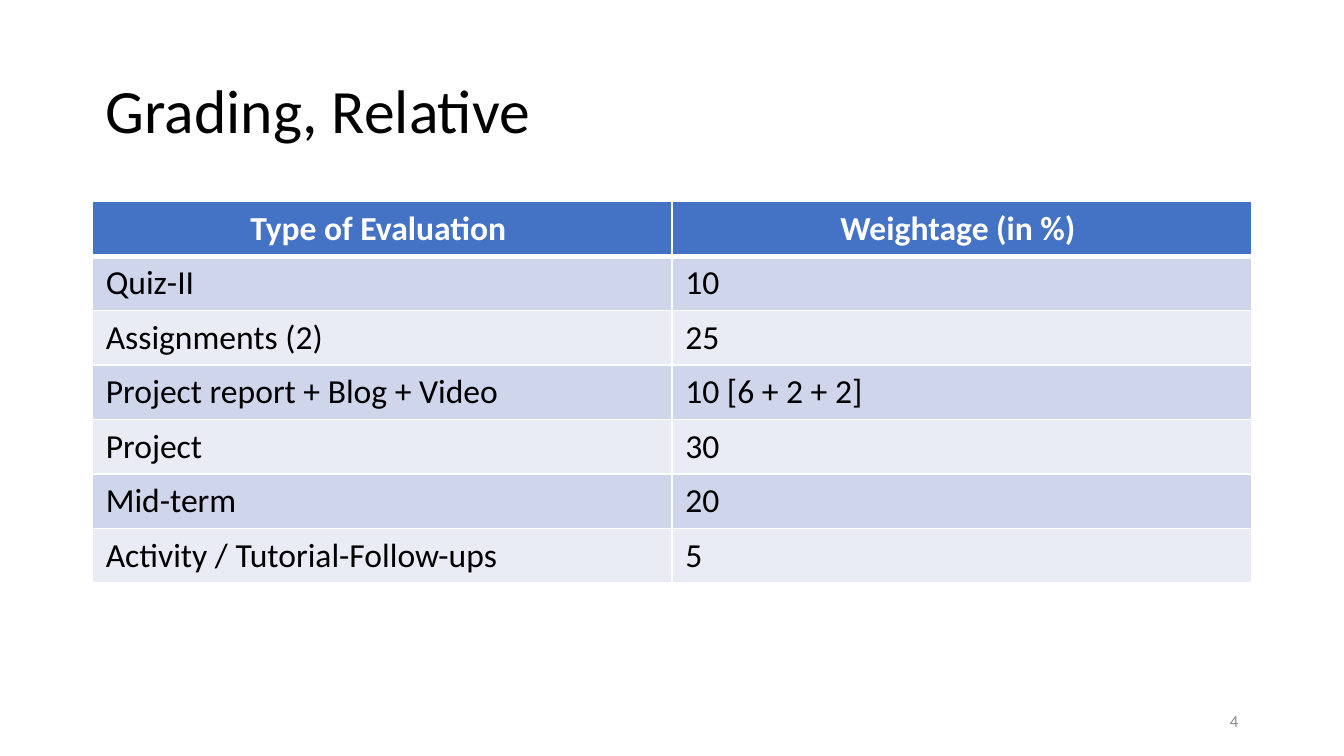
from lxml.etree import SubElement
from pptx import Presentation
from pptx.dml.color import RGBColor
from pptx.enum.text import MSO_ANCHOR, PP_ALIGN
from pptx.oxml.ns import qn
from pptx.util import Pt

COLORS = {
    "text": "000000",
    "white": "FFFFFF",
    "head": "4472C4",
    "odd": "CFD5EA",
    "even": "E9EBF5",
    "number": "8C8C8C",
}
FONT = "Calibri"
LEFT, WIDTH = 49.5, 621

ROWS = [
    ("Type of Evaluation ", "Weightage (in %) "),
    ("Quiz-II", "10"),
    ("Assignments (2)", "25"),
    ("Project report + Blog + Video", "10 [6 + 2 + 2]"),
    ("Project", "30"),
    ("Mid-term", "20"),
    ("Activity / Tutorial-Follow-ups", "5"),
]


class Deck:
    def __init__(self, wide, high):
        self.show = Presentation()
        self.show.slide_width, self.show.slide_height = Pt(wide), Pt(high)
        self.slide = self.show.slides.add_slide(self.show.slide_layouts[5])

    def color(self, name):
        return RGBColor.from_string(COLORS[name])

    def style(self, frame, text, size, color, align=PP_ALIGN.LEFT, bold=False):
        frame.text = text
        para = frame.paragraphs[0]
        para.alignment = align
        font = para.runs[0].font
        font.name, font.size, font.bold = FONT, Pt(size), bold
        font.color.rgb = self.color(color)
        return para

    def title(self, text, left, top, wide, high):
        shape = self.slide.shapes.title
        shape.left, shape.top = Pt(left), Pt(top)
        shape.width, shape.height = Pt(wide), Pt(high)
        frame = shape.text_frame
        frame.vertical_anchor = MSO_ANCHOR.MIDDLE
        self.style(frame, text, 33, "text").line_spacing = 0.9

    def label(self, text, left, top, wide, high):
        box = self.slide.shapes.add_textbox(Pt(left), Pt(top), Pt(wide), Pt(high))
        frame = box.text_frame
        frame.word_wrap = True
        frame.vertical_anchor = MSO_ANCHOR.MIDDLE
        self.style(frame, text, 9, "number", PP_ALIGN.RIGHT)

    def border(self, cell, side, width):
        props = cell._tc.get_or_add_tcPr()
        line = SubElement(props, qn(f"a:ln{side}"), w=str(Pt(width)))
        fill = SubElement(line, qn("a:solidFill"))
        SubElement(fill, qn("a:srgbClr"), val=COLORS["white"])

    def table(self, rows, left, top, wide, step):
        count = len(rows[0])
        table = self.slide.shapes.add_table(
            len(rows), count, Pt(left), Pt(top), Pt(wide), Pt(step * len(rows))
        ).table
        for col in table.columns:
            col.width = Pt(wide / count)
        for i, texts in enumerate(rows):
            table.rows[i].height = Pt(step)
            head = i == 0
            fill = "head" if head else "odd" if i % 2 else "even"
            # The rule under the header is thicker
            edges = {"L": 1, "R": 1, "T": 3 if i == 1 else 1, "B": 3 if head else 1}
            for j, text in enumerate(texts):
                cell = table.cell(i, j)
                for side, width in edges.items():
                    self.border(cell, side, width)
                cell.fill.solid()
                cell.fill.fore_color.rgb = self.color(fill)
                self.style(
                    cell.text_frame, text, 18,
                    "white" if head else "text",
                    PP_ALIGN.CENTER if head else PP_ALIGN.LEFT, head,
                )


def main():
    deck = Deck(720, 405)
    # Heading
    deck.title("Grading, Relative", LEFT, 21.6, WIDTH, 78.3)
    # Grading scheme
    deck.table(ROWS, LEFT, 108, WIDTH, 29.2)
    # Slide number
    deck.label("4", 508.5, 375.4, 162, 21.6)
    deck.show.save("out.pptx")


if __name__ == "__main__":
    main()
